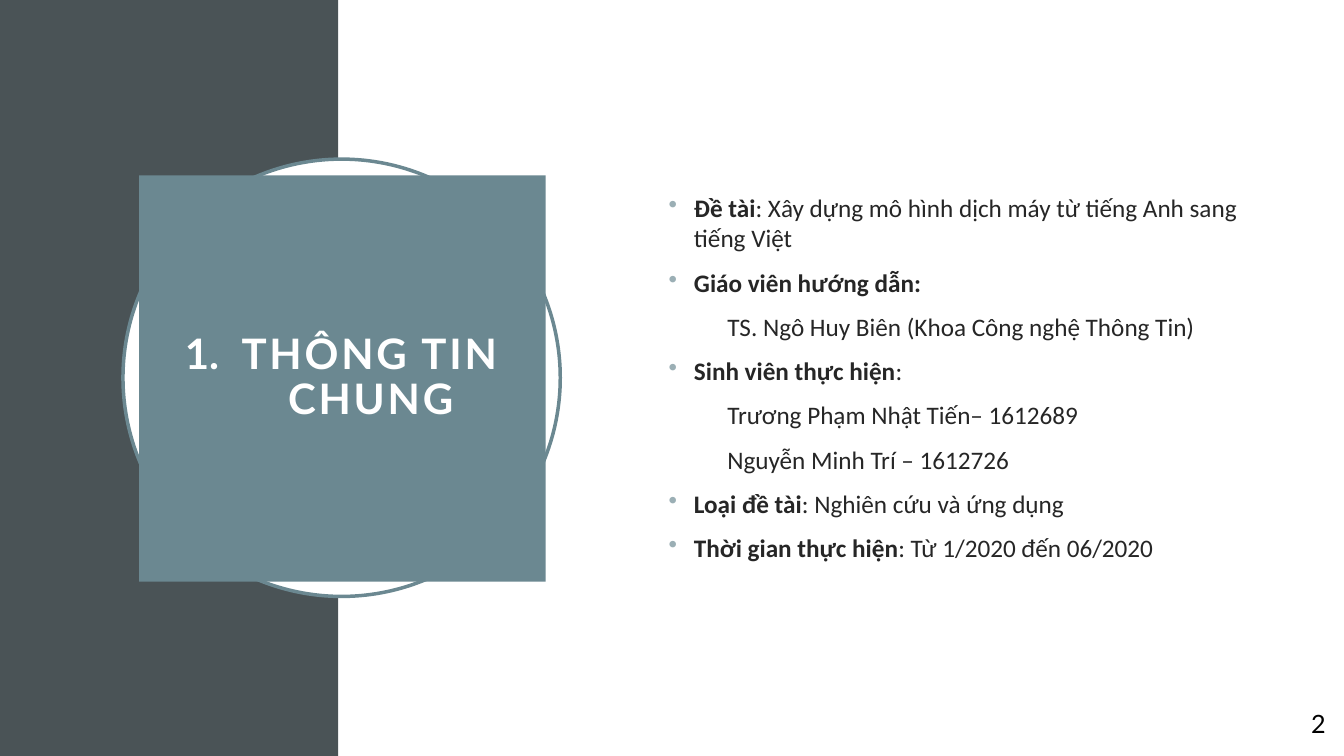
from pptx import Presentation
from pptx.dml.color import RGBColor
from pptx.enum.shapes import MSO_SHAPE as Preset
from pptx.enum.text import MSO_ANCHOR as Anchor, PP_ALIGN as Align
from pptx.oxml.ns import qn
from pptx.util import Cm, Pt
from lxml.etree import SubElement

COLORS = {
    "slate": "4A5356",
    "teal": "6B8891",
    "bullet": "9BAFB5",
    "ink": "262626",
    "white": "FFFFFF",
    "black": "000000",
}
WIDTH, HEIGHT, BAND = 33.87, 19.05, 8.53
DETAILS = [
    ("Đề tài", ": Xây dựng mô hình dịch máy từ tiếng Anh sang tiếng Việt"),
    ("Giáo viên hướng dẫn:", ""),
    ("", "TS. Ngô Huy Biên (Khoa Công nghệ Thông Tin)"),
    ("Sinh viên thực hiện", ":"),
    ("", "Trương Phạm Nhật Tiến– 1612689"),
    ("", "Nguyễn Minh Trí – 1612726"),
    ("Loại đề tài", ": Nghiên cứu và ứng dụng"),
    ("Thời gian thực hiện", ": Từ 1/2020 đến 06/2020"),
]


def rgb(name):
    return RGBColor.from_string(COLORS[name])


class SlideBuilder:
    """Hold the text style and the current slide, and add elements to it."""

    def __init__(self, page, body_font="Calibri", accent_font="Lato", size=18):
        self.page = page
        self.body_font = body_font
        self.accent_font = accent_font
        self.size = size

    def shape(self, preset, left, top, width, height, fill, line=None):
        shape = self.page.shapes.add_shape(preset, Cm(left), Cm(top), Cm(width), Cm(height))
        shape.shadow.inherit = False
        shape.fill.solid()
        shape.fill.fore_color.rgb = rgb(fill)
        if line:
            shape.line.color.rgb = rgb(line)
            shape.line.width = Pt(2.5)
        else:
            shape.line.fill.background()
        return shape

    def text_box(self, left, top, width, height, anchor):
        box = self.page.shapes.add_textbox(Cm(left), Cm(top), Cm(width), Cm(height))
        box.text_frame.word_wrap = True
        box.text_frame.vertical_anchor = anchor
        return box.text_frame

    def style(self, para, font, size, color):
        para.font.name = font
        para.font.size = Pt(size)
        para.font.color.rgb = rgb(color)

    def indent(self, para, margin, hanging=0):
        properties = para._p.get_or_add_pPr()
        properties.set("marL", str(Cm(margin)))
        properties.set("indent", str(-Cm(hanging)))
        return properties

    def title(self, shape, text):
        frame = shape.text_frame
        frame.word_wrap = True
        frame.vertical_anchor = Anchor.MIDDLE
        frame.margin_left = frame.margin_right = Cm(0.51)
        frame.margin_top = frame.margin_bottom = Cm(0.51)
        para = frame.paragraphs[0]
        para.alignment = Align.CENTER
        para.line_spacing = 0.9
        properties = self.indent(para, 1.43, 1.43)
        SubElement(properties, qn("a:buAutoNum"), type="arabicPeriod")
        self.style(para, self.accent_font, 30, "white")
        para.font.bold = True
        span = para.add_run()
        span.text = text
        span.font._element.set("spc", "200")

    def details(self, frame, rows):
        for index, (label, value) in enumerate(rows):
            para = frame.add_paragraph() if index else frame.paragraphs[0]
            para.space_before = Pt(10)
            if label:
                properties = self.indent(para, 1.7, 0.64)
                color = SubElement(properties, qn("a:buClr"))
                SubElement(color, qn("a:srgbClr"), val=COLORS["bullet"])
                SubElement(properties, qn("a:buChar"), char="•")
            else:
                self.indent(para, 2.54)
            self.style(para, self.body_font, self.size, "ink")
            for text, bold in ((label, True), (value, False)):
                if text:
                    span = para.add_run()
                    span.text = text
                    span.font.bold = bold

    def page_number(self, frame, number):
        para = frame.paragraphs[0]
        para.alignment = Align.CENTER
        para.add_run().text = str(number)
        self.style(para, self.accent_font, self.size, "black")


def main():
    deck = Presentation()
    deck.slide_width, deck.slide_height = Cm(WIDTH), Cm(HEIGHT)
    builder = SlideBuilder(deck.slides.add_slide(deck.slide_layouts[6]))
    builder.shape(Preset.RECTANGLE, 0, 0, BAND, HEIGHT, "slate")
    builder.shape(Preset.RECTANGLE, BAND, 0, WIDTH - BAND, HEIGHT, "white")
    builder.shape(Preset.OVAL, 3.1, 4.01, 11.02, 11.02, "white", "teal")
    panel = builder.shape(Preset.RECTANGLE, 3.51, 4.42, 10.24, 10.24, "teal")
    builder.title(panel, "THÔNG TIN CHUNG")
    builder.details(builder.text_box(15.54, 3.89, 17.15, 11.25, Anchor.MIDDLE), DETAILS)
    builder.page_number(builder.text_box(32.59, 17.73, 1.27, 1.02, Anchor.TOP), 2)
    deck.save("out.pptx")


if __name__ == "__main__":
    main()
